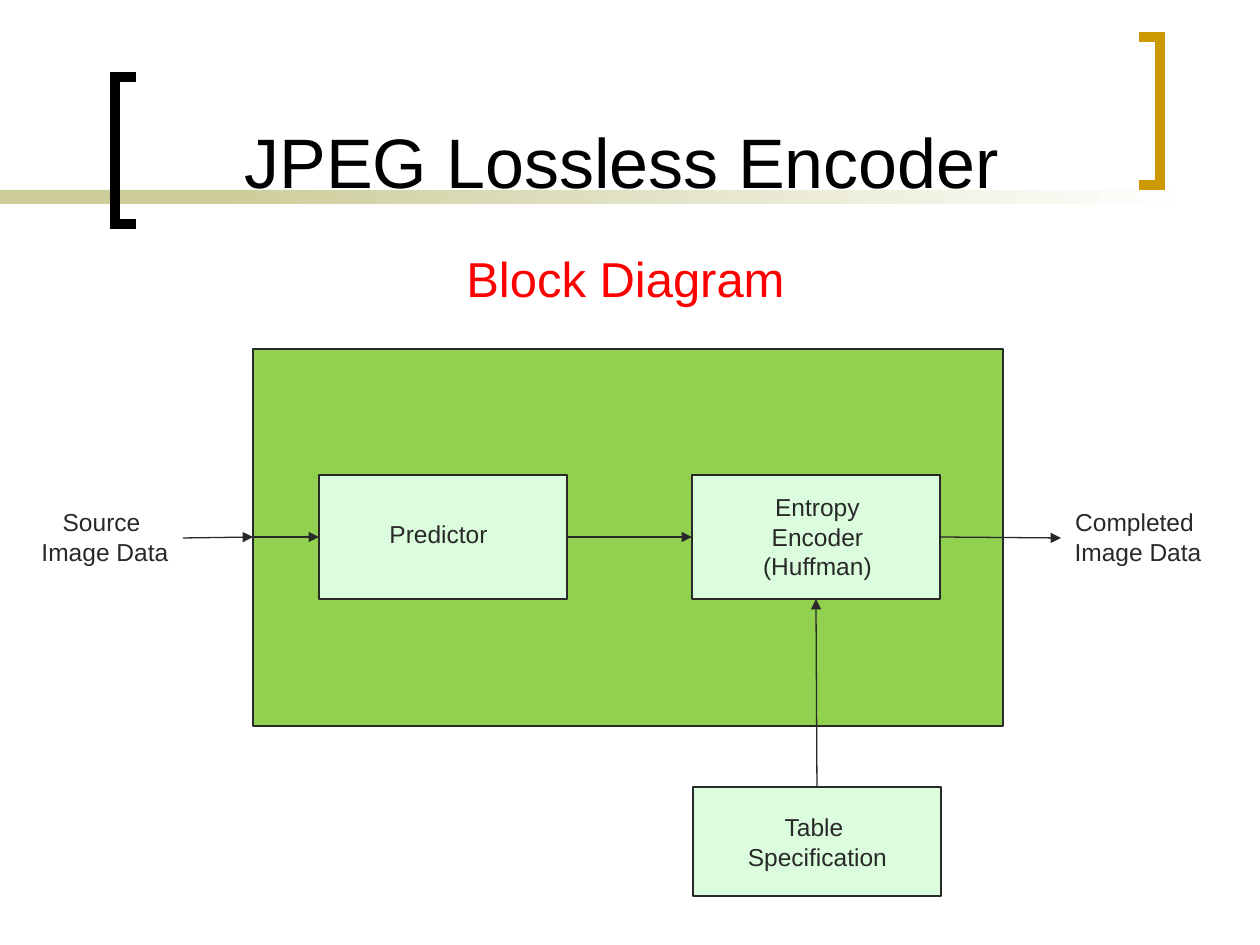
from lxml import etree
from pptx import Presentation, util as u
from pptx.dml.color import RGBColor
from pptx.enum import shapes, text
from pptx.oxml import ns

EMU_PER_PX = 914400 / 126
FONT = "Arial"
BLACK = RGBColor(0x00, 0x00, 0x00)
WHITE = RGBColor(0xFF, 0xFF, 0xFF)
INK = RGBColor(0x29, 0x29, 0x29)
RED = RGBColor(0xFF, 0x00, 0x00)
GOLD = RGBColor(0xCC, 0x99, 0x00)
SAND = RGBColor(0xCC, 0xCC, 0x99)
GREEN = RGBColor(0x92, 0xD0, 0x50)
MINT = RGBColor(0xDB, 0xFD, 0xDE)
CENTER = text.PP_ALIGN.CENTER
LEFT = text.PP_ALIGN.LEFT


def px(value):
    return u.Emu(round(value * EMU_PER_PX))


def add_box(slide, box, fill, line=None):
    shape = slide.shapes.add_shape(shapes.MSO_SHAPE.RECTANGLE, *map(px, box))
    shape.shadow.inherit = False
    shape.fill.solid()
    shape.fill.fore_color.rgb = fill
    if line is None:
        shape.line.fill.background()
    else:
        shape.line.color.rgb = line
        shape.line.width = u.Pt(0.75)
    return shape


def add_label(slide, box, lines, size=14, color=INK, align=CENTER,
              anchor=text.MSO_ANCHOR.TOP, wrap=False):
    shape = slide.shapes.add_textbox(*map(px, box))
    frame = shape.text_frame
    frame.word_wrap = wrap
    frame.vertical_anchor = anchor
    for index, line in enumerate(lines):
        paragraph = frame.paragraphs[0] if index == 0 else frame.add_paragraph()
        paragraph.alignment = align
        run = paragraph.add_run()
        run.text = line
        run.font.name = FONT
        run.font.size = u.Pt(size)
        run.font.color.rgb = color


def add_arrow(slide, start, end):
    connector = slide.shapes.add_connector(
        shapes.MSO_CONNECTOR.STRAIGHT, *map(px, start + end))
    connector.line.color.rgb = INK
    connector.line.width = u.Pt(0.75)
    line = connector.line._get_or_add_ln()
    etree.SubElement(line, ns.qn("a:tailEnd"), type="triangle")
    etree.SubElement(connector._element.spPr, ns.qn("a:effectLst"))


def add_bracket(slide, box, color, opens_right):
    left, top, width, height = box
    right, bottom = left + width, top + height
    tip, spine = (right, left) if opens_right else (left, right)
    builder = slide.shapes.build_freeform(tip, top, scale=EMU_PER_PX)
    builder.add_line_segments(
        [(spine, top), (spine, bottom), (tip, bottom)], close=False)
    shape = builder.convert_to_shape()
    shape.shadow.inherit = False
    shape.fill.background()
    shape.line.color.rgb = color
    shape.line.width = u.Pt(6)
    line = shape.line._get_or_add_ln()
    etree.SubElement(line, ns.qn("a:miter"), lim="800000")


def add_header(slide, box):
    left, top, width, height = box
    solid_width, fade_left, fade_width, bar_height = 294, 199, 998, 14
    bar_top = top + 190
    add_box(slide, (left, bar_top, solid_width, bar_height), SAND)
    fade = add_box(slide, (left + fade_left, bar_top, fade_width, bar_height), SAND)
    fade.fill.gradient()
    fade.fill.gradient_angle = 0
    for stop, color, position in zip(fade.fill.gradient_stops, (SAND, WHITE), (0, 1)):
        stop.color.rgb = color
        stop.position = position
    add_bracket(slide, (left + 115, top + 77, 21, 147), BLACK, True)
    add_bracket(slide, (left + 1139, top + 37, 21, 148), GOLD, False)
    add_label(slide, (left + 128, top + 14, 987, height - 14),
              ["JPEG Lossless Encoder"], 40, BLACK,
              anchor=text.MSO_ANCHOR.BOTTOM, wrap=True)


def add_diagram(slide, box):
    left, top, width, height = box
    right, middle = left + width, top + height // 2
    block_width, block_height = 248, 124
    block_top = middle - block_height // 2
    predictor_left, encoder_left = left + 66, left + 439
    table_left, table_top = encoder_left + 1, top + 438
    encoder_right = encoder_left + block_width

    add_box(slide, box, GREEN, INK)
    for block_left in (predictor_left, encoder_left):
        add_box(slide, (block_left, block_top, block_width, block_height), MINT, INK)
    add_box(slide, (table_left, table_top, block_width, 109), MINT, INK)

    add_label(slide, (predictor_left + 58, middle - 24, 131, 43),
              ["Predictor"], align=LEFT)
    add_label(slide, (encoder_left + 58, middle - 51, 135, 102),
              ["Entropy", "Encoder", "(Huffman)"])
    add_label(slide, (table_left + 42, table_top + 19, 165, 72),
              ["Table ", "Specification"])
    add_label(slide, (right + 57, middle - 36, 156, 72),
              ["Completed ", "Image Data"])
    add_label(slide, (left - 224, middle - 36, 152, 72),
              ["Source ", "Image Data"])

    table_center = table_left + block_width // 2
    for start, end in (
        ((table_center, table_top), (table_center - 1, block_top + block_height)),
        ((left - 70, middle + 1), (left, middle)),
        ((left, middle), (predictor_left, middle)),
        ((predictor_left + block_width, middle), (encoder_left, middle)),
        ((encoder_right, middle), (right + 58, middle + 1)),
    ):
        add_arrow(slide, start, end)


def main():
    presentation = Presentation()
    presentation.slide_width = px(1260)
    presentation.slide_height = px(945)
    slide = presentation.slides.add_slide(presentation.slide_layouts[6])
    add_header(slide, (0, 0, 1260, 209))
    add_label(slide, (454, 242, 348, 72), ["Block Diagram"], 28, RED, LEFT)
    add_diagram(slide, (253, 349, 750, 377))
    presentation.save("out.pptx")


if __name__ == "__main__":
    main()
